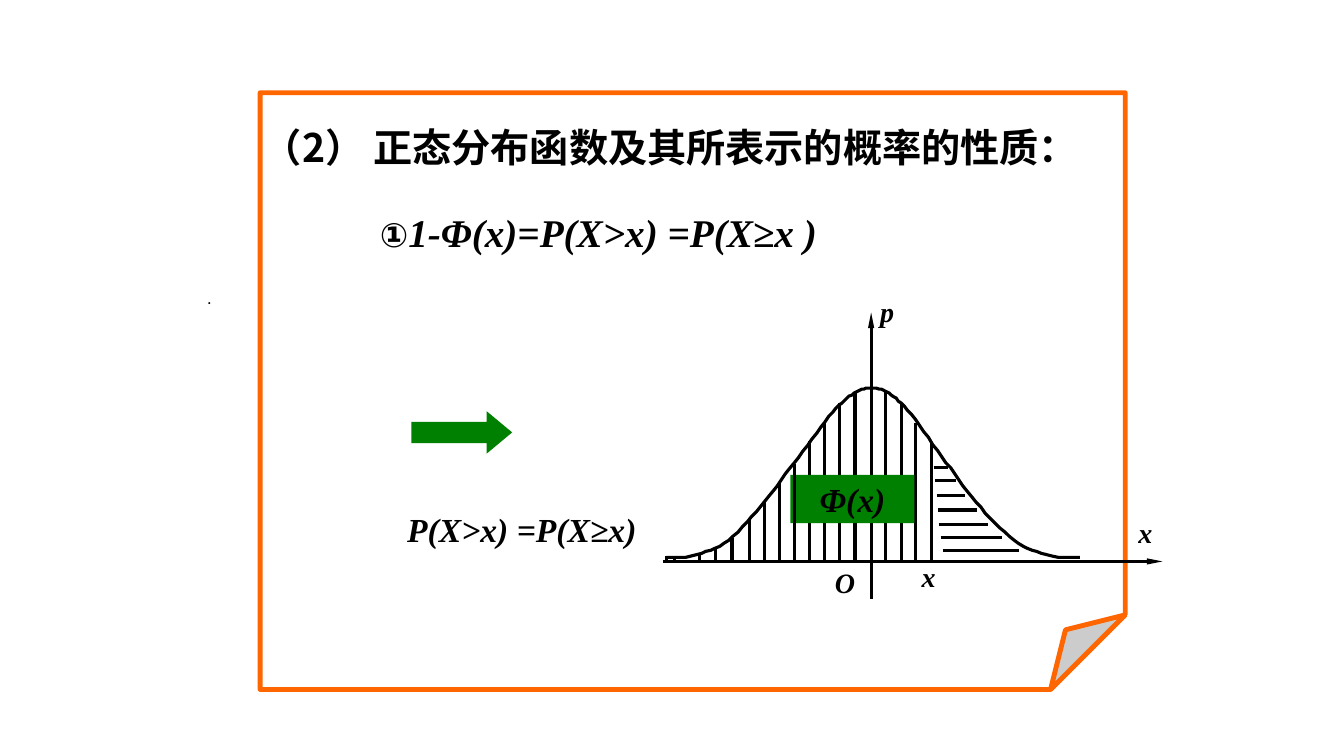
import dataclasses

import pptx
import pptx.dml.color
import pptx.enum.shapes
import pptx.enum.text
import pptx.oxml
import pptx.oxml.ns
import pptx.util

PX = 9144  # 100 px to the inch
BLACK, WHITE, GREEN, ORANGE = "000000", "FFFFFF", "008000", "FF6600"
AXIS_Y = 557
NAMESPACE = pptx.oxml.ns.nsdecls("a")
SHAPE = pptx.enum.shapes.MSO_SHAPE
ANCHOR = pptx.enum.text.MSO_ANCHOR


@dataclasses.dataclass
class Piece:
    text: str
    size: int
    font: str = "Times New Roman"
    bold: bool = True
    italic: bool = True


@dataclasses.dataclass
class Label:
    box: tuple[int, int, int, int]
    pieces: list[Piece]
    wrap: bool = True
    grow: bool = True
    anchor: pptx.enum.text.MSO_ANCHOR = ANCHOR.TOP
    insets: tuple[int, int, int, int] = (10, 5, 10, 5)


@dataclasses.dataclass
class Stroke:
    start: tuple[int, int]
    end: tuple[int, int]
    arrow: bool = False


def hatch(x: int, top: int) -> Stroke:
    return Stroke((x, top), (x, AXIS_Y))


def axis_label(box: tuple[int, int, int, int], text: str, left: int = 0) -> Label:
    return Label(box, [Piece(text, 20)], grow=False, insets=(left, 0, 0, 0))


AXES = [Stroke((864, AXIS_Y), (864, 310), arrow=True),
        Stroke((658, AXIS_Y), (1153, AXIS_Y), arrow=True),
        Stroke((864, AXIS_Y), (864, 594))]
HATCHES_BEHIND = [hatch(x, top) for x, top in (
    (661, 552), (669, 552), (773, 478), (803, 438), (818, 419), (833, 400),
    (848, 389), (878, 389), (894, 401), (908, 420), (924, 439))]
HATCHES_FRONT = [hatch(x, top) for x, top in (
    (694, 549), (710, 543), (726, 534), (743, 515), (758, 498), (788, 460))]
TAIL_HATCHES = [Stroke((left, y), (right, y)) for y, left, right in (
    (464, 926, 940), (477, 927, 948), (492, 929, 957), (506, 930, 969),
    (520, 931, 980), (533, 933, 994), (546, 935, 1011))]

# Bell curve: start point, then cubic segments (control, control, end)
CURVE_START = (1071, 553)
CURVE = [
    ((1066, 553), (1052, 554), (1041, 551)), ((1030, 548), (1018, 545), (1006, 536)),
    ((994, 527), (980, 512), (968, 498)), ((956, 484), (946, 468), (934, 453)),
    ((923, 438), (909, 417), (900, 407)), ((891, 396), (886, 393), (880, 389)),
    ((874, 386), (869, 385), (863, 385)), ((858, 385), (853, 386), (847, 390)),
    ((841, 394), (835, 399), (826, 409)), ((817, 420), (803, 439), (792, 454)),
    ((780, 468), (770, 484), (758, 498)), ((747, 511), (735, 527), (723, 536)),
    ((711, 545), (698, 548), (688, 551)), ((677, 554), (667, 553), (661, 553)),
]

LABELS = [
    axis_label((1129, 511, 46, 48), "x"),
    axis_label((869, 292, 61, 48), "p", left=4),
    axis_label((828, 561, 52, 48), "O"),
    axis_label((914, 555, 29, 39), "x"),
    Label((367, 202, 517, 57),
          [Piece("①", 24, "Arial", italic=False), Piece("1-Φ(x)=P(X>x) =P(X≥x )", 28)],
          anchor=ANCHOR.MIDDLE),
    Label((196, 286, 38, 27), [Piece("·", 10, "Calibri", bold=False, italic=False)],
          wrap=False, anchor=ANCHOR.MIDDLE),
    Label((251, 117, 841, 57),
          [Piece("（2） 正态分布函数及其所表示的概率的性质：", 28, "Noto Sans CJK SC", italic=False)],
          wrap=False),
    Label((394, 500, 256, 50), [Piece("P(X>x) =P(X≥x)", 24)], wrap=False),
]


def emu(*lengths: int) -> list[int]:
    return [length * PX for length in lengths]


def colour(value: str) -> pptx.dml.color.RGBColor:
    return pptx.dml.color.RGBColor.from_string(value)


def set_line(shape, value: str, points: float) -> None:
    shape.line.color.rgb = colour(value)
    shape.line.width = pptx.util.Pt(points)


def add_pieces(para, pieces: list[Piece]) -> None:
    for piece in pieces:
        span = para.add_run()
        span.text = piece.text
        span.font.size = pptx.util.Pt(piece.size)
        span.font.bold, span.font.italic = piece.bold, piece.italic
        span.font.color.rgb = colour(BLACK)
        span.font.name = piece.font
        # East Asian characters take their font from a:ea
        east_asian = pptx.oxml.parse_xml(f'<a:ea {NAMESPACE} typeface="{piece.font}"/>')
        span.font._element.find(pptx.oxml.ns.qn("a:latin")).addnext(east_asian)


def set_insets(frame, insets: tuple[int, int, int, int]) -> None:
    (frame.margin_left, frame.margin_top,
     frame.margin_right, frame.margin_bottom) = emu(*insets)


def add_label(page, label: Label) -> None:
    frame = page.shapes.add_textbox(*emu(*label.box)).text_frame
    frame.word_wrap = label.wrap
    sizing = pptx.enum.text.MSO_AUTO_SIZE
    frame.auto_size = sizing.SHAPE_TO_FIT_TEXT if label.grow else sizing.NONE
    frame.vertical_anchor = label.anchor
    set_insets(frame, label.insets)
    add_pieces(frame.paragraphs[0], label.pieces)


def add_stroke(page, stroke: Stroke) -> None:
    line = page.shapes.add_connector(
        pptx.enum.shapes.MSO_CONNECTOR.STRAIGHT, *emu(*stroke.start, *stroke.end))
    set_line(line, BLACK, 2.25)
    if stroke.arrow:
        line.line._get_or_add_ln().append(pptx.oxml.parse_xml(
            f'<a:tailEnd {NAMESPACE} type="triangle" w="sm" len="lg"/>'))
    line._element.spPr.append(pptx.oxml.parse_xml(f"<a:effectLst {NAMESPACE}/>"))


def add_filled(page, kind, box: tuple[int, int, int, int], fill: str):
    shape = page.shapes.add_shape(kind, *emu(*box))
    shape.shadow.inherit = False
    shape.fill.solid()
    shape.fill.fore_color.rgb = colour(fill)
    shape.line.fill.background()
    return shape


def add_curve(page, steps: int = 8) -> None:
    points, start = [], CURVE_START
    for first, second, end in CURVE:
        for t in (step / steps for step in range(1, steps + 1)):
            u = 1 - t
            points.append(tuple(
                u**3 * a + 3 * u * u * t * b + 3 * u * t * t * c + t**3 * d
                for a, b, c, d in zip(start, first, second, end)))
        start = end
    builder = page.shapes.build_freeform(*CURVE_START, scale=PX)
    builder.add_line_segments(points, close=False)
    curve = builder.convert_to_shape()
    curve.shadow.inherit = False
    curve.fill.background()
    set_line(curve, BLACK, 2.25)


def main() -> None:
    deck = pptx.Presentation()
    deck.slide_width, deck.slide_height = emu(1333, 750)
    page = deck.slides.add_slide(deck.slide_layouts[6])
    # Folded sheet
    sheet = add_filled(page, SHAPE.FOLDED_CORNER, (258, 92, 858, 592), WHITE)
    guides = next(sheet._element.iter(pptx.oxml.ns.qn("a:avLst")))
    guides.append(pptx.oxml.parse_xml(f'<a:gd {NAMESPACE} name="adj" fmla="val 12500"/>'))
    set_line(sheet, ORANGE, 3.5)
    # Normal curve with its axes and shaded areas
    add_curve(page)
    for stroke in AXES + HATCHES_BEHIND:
        add_stroke(page, stroke)
    area = add_filled(page, SHAPE.RECTANGLE, (784, 471, 123, 48), GREEN)
    area.text_frame.vertical_anchor = ANCHOR.MIDDLE
    set_insets(area.text_frame, (0, 0, 0, 0))
    para = area.text_frame.paragraphs[0]
    para.alignment = pptx.enum.text.PP_ALIGN.CENTER
    add_pieces(para, [Piece("Φ(x)", 24)])
    for stroke in HATCHES_FRONT + TAIL_HATCHES:
        add_stroke(page, stroke)
    # Pointer and wording
    pointer = add_filled(page, SHAPE.RIGHT_ARROW, (408, 408, 100, 42), GREEN)
    pointer.adjustments[1] = 0.6
    for label in LABELS:
        add_label(page, label)
    deck.save("out.pptx")


if __name__ == "__main__":
    main()
